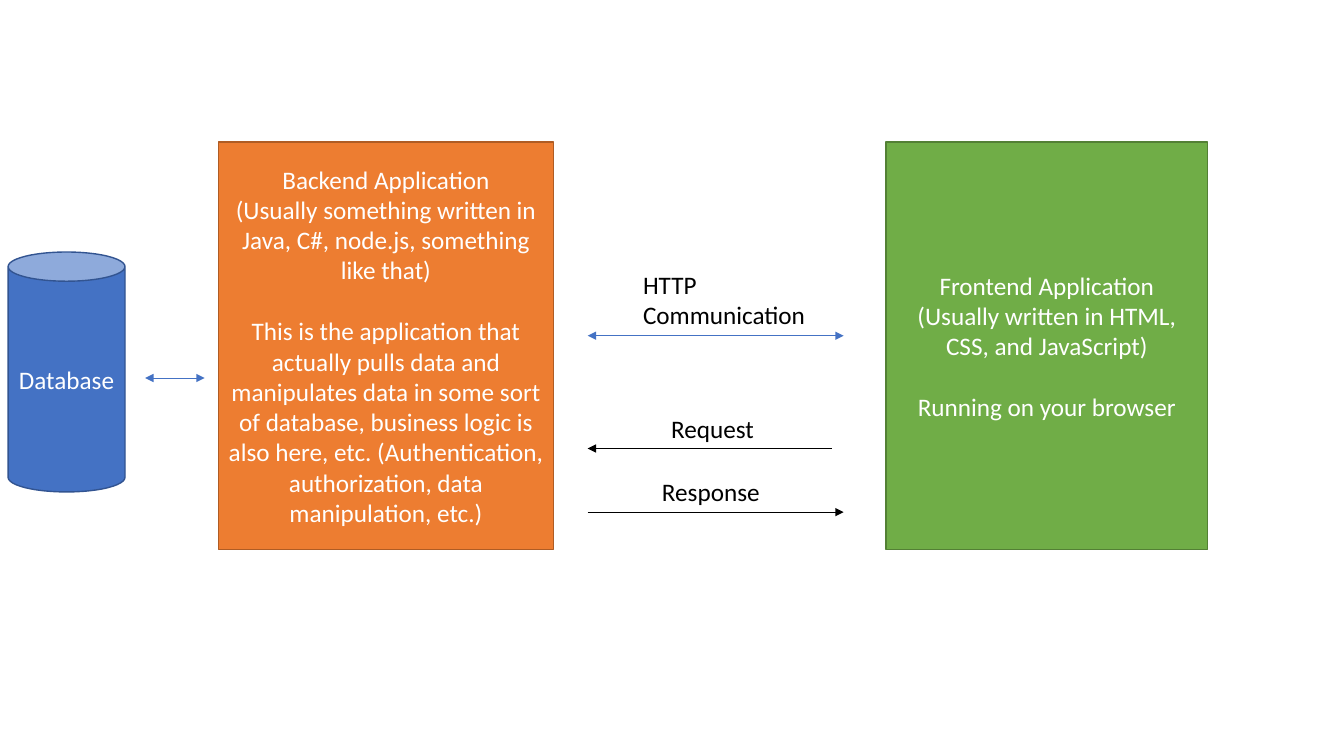
from dataclasses import dataclass

from lxml.etree import SubElement
from pptx import Presentation
from pptx.dml.color import RGBColor
from pptx.enum.shapes import MSO_CONNECTOR, MSO_SHAPE
from pptx.enum.text import MSO_ANCHOR, PP_ALIGN
from pptx.oxml.ns import qn
from pptx.slide import Slide
from pptx.text.text import TextFrame
from pptx.util import Pt

COLORS = {
    "white": "FFFFFF", "black": "000000",
    "blue": "4472C4", "blue_edge": "325491",
    "orange": "ED7D31", "orange_edge": "AF5C24",
    "green": "70AD47", "green_edge": "538035",
}
FONT = "Calibri"
TEXT_SIZE = 18
LINE_HEIGHT = 22
APP_TOP, APP_HEIGHT = 101.5, 290.9
LINK_LEFT, LINK_RIGHT = 419.8, 602.6


@dataclass(frozen=True)
class Component:
    """A filled part of the system; its blocks of lines are set one line apart."""
    kind: MSO_SHAPE
    left: float
    top: float
    width: float
    height: float
    color: str
    blocks: tuple[tuple[str, ...], ...]


@dataclass(frozen=True)
class Label:
    """Text standing on an arrow."""
    text: str
    left: float
    width: float
    height: float


@dataclass(frozen=True)
class Arrow:
    """A horizontal arrow, with an optional label."""
    start: float
    end: float
    y: float
    color: str
    two_way: bool = False
    label: Label | None = None


COMPONENTS = [
    Component(MSO_SHAPE.RECTANGLE, 632.9, APP_TOP, 229.7, APP_HEIGHT, "green", (
        ("Frontend Application",
         "(Usually written in HTML, CSS, and JavaScript)"),
        ("Running on your browser",),
    )),
    Component(MSO_SHAPE.RECTANGLE, 156.2, APP_TOP, 239, APP_HEIGHT, "orange", (
        ("Backend Application",
         "(Usually something written in Java, C#, node.js, something like that)"),
        ("This is the application that actually pulls data and manipulates data "
         "in some sort of database, business logic is also here, etc. "
         "(Authentication, authorization, data manipulation, etc.)",),
    )),
    Component(MSO_SHAPE.CAN, 5.8, 180, 83.5, 171.4, "blue", (("Database",),)),
]

ARROWS = [
    Arrow(103.7, 146.2, 270, "blue", two_way=True),
    Arrow(LINK_LEFT, LINK_RIGHT, 239.8, "blue", two_way=True,
          label=Label("HTTP Communication", 452.2, 159.1, 51.1)),
    Arrow(594, LINK_LEFT, 320.4, "black",
          label=Label("Request", 472.3, 76.3, 28.8)),
    Arrow(LINK_LEFT, LINK_RIGHT, 365.8, "black",
          label=Label("Response", 465.8, 90.7, 28.8)),
]


def rgb(name: str) -> RGBColor:
    """Look up a named colour."""
    return RGBColor.from_string(COLORS[name])


def write_blocks(frame: TextFrame, blocks: tuple[tuple[str, ...], ...],
                 color: str, align: PP_ALIGN) -> None:
    """Write each line as a paragraph, with a gap before every later block."""
    frame.word_wrap = True
    para = None
    for block_index, lines in enumerate(blocks):
        for line_index, line in enumerate(lines):
            para = frame.add_paragraph() if para else frame.paragraphs[0]
            para.alignment = align
            if block_index and not line_index:
                para.space_before = Pt(LINE_HEIGHT)
            span = para.add_run()
            span.text = line
            span.font.name = FONT
            span.font.size = Pt(TEXT_SIZE)
            span.font.color.rgb = rgb(color)


def draw_component(page: Slide, part: Component) -> None:
    """Draw a filled shape with centred white text."""
    box = page.shapes.add_shape(part.kind, Pt(part.left), Pt(part.top),
                                Pt(part.width), Pt(part.height))
    box.shadow.inherit = False
    box.fill.solid()
    box.fill.fore_color.rgb = rgb(part.color)
    box.line.color.rgb = rgb(f"{part.color}_edge")
    box.line.width = Pt(1)
    box.text_frame.vertical_anchor = MSO_ANCHOR.MIDDLE
    write_blocks(box.text_frame, part.blocks, "white", PP_ALIGN.CENTER)


def draw_arrow(page: Slide, arrow: Arrow) -> None:
    """Draw an arrow and stand its label on it."""
    connector = page.shapes.add_connector(
        MSO_CONNECTOR.STRAIGHT, Pt(arrow.start), Pt(arrow.y),
        Pt(arrow.end), Pt(arrow.y))
    connector.line.color.rgb = rgb(arrow.color)
    connector.line.width = Pt(0.5)
    outline = connector.line._get_or_add_ln()
    for end in ("headEnd", "tailEnd") if arrow.two_way else ("tailEnd",):
        SubElement(outline, qn(f"a:{end}"), type="triangle")
    SubElement(connector._element.spPr, qn("a:effectLst"))
    if arrow.label:
        label = arrow.label
        box = page.shapes.add_textbox(Pt(label.left), Pt(arrow.y - label.height),
                                      Pt(label.width), Pt(label.height))
        write_blocks(box.text_frame, ((label.text,),), "black", PP_ALIGN.LEFT)


def main() -> None:
    """Build the architecture slide."""
    deck = Presentation()
    deck.slide_width, deck.slide_height = Pt(960), Pt(540)
    blank_layout = deck.slide_layouts.get_by_name("Blank")
    page = deck.slides.add_slide(blank_layout)
    for part in COMPONENTS:
        draw_component(page, part)
    for arrow in ARROWS:
        draw_arrow(page, arrow)
    deck.save("out.pptx")


main()
